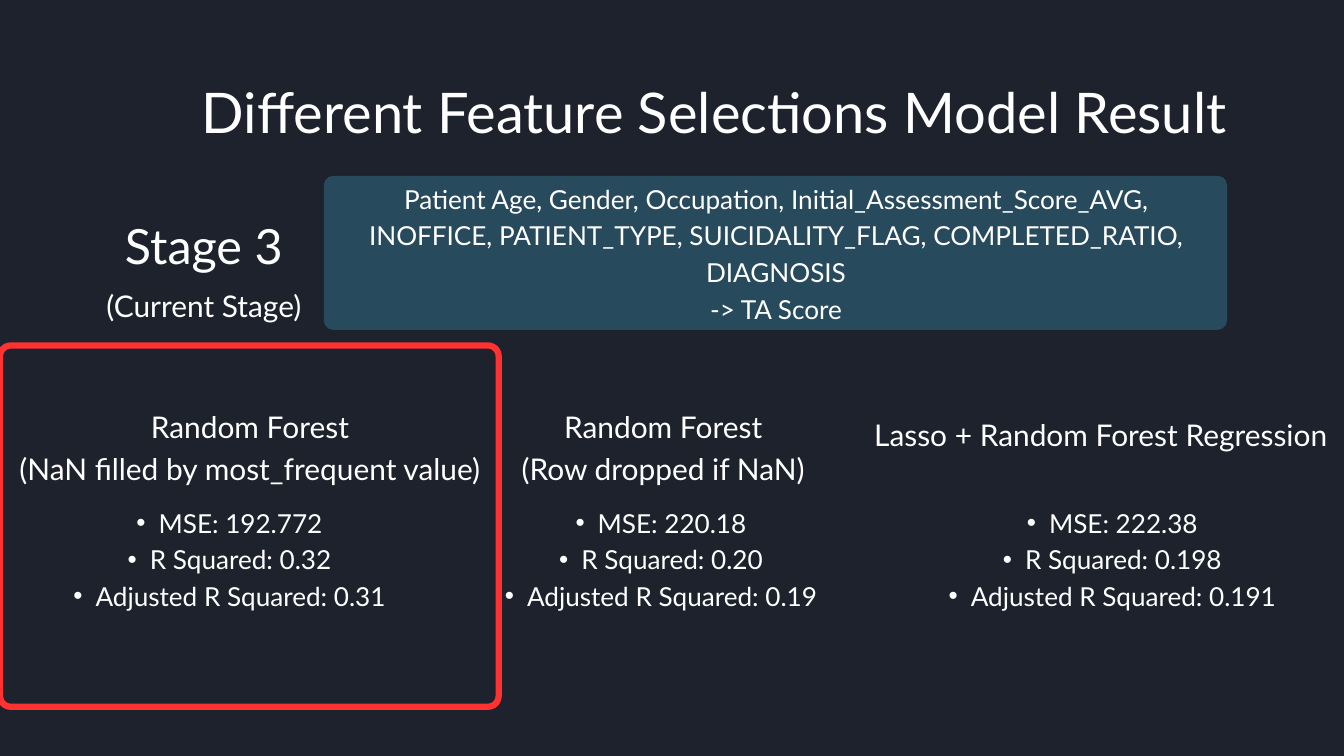
from pptx import Presentation
from pptx.dml.color import RGBColor
from pptx.enum.shapes import MSO_SHAPE as Kind
from pptx.enum.text import MSO_ANCHOR as Anchor, MSO_AUTO_SIZE as Fit, PP_ALIGN as Align
from pptx.util import Cm, Pt
from lxml import etree
from pptx.oxml.ns import qn


def rgb(code):
    return RGBColor.from_string(code)


def write(box, lines, size, bullet=False):
    frame = box.text_frame
    frame.text = "\n".join(lines)
    frame.word_wrap = True
    frame.auto_size = Fit.NONE
    frame.vertical_anchor = Anchor.TOP
    frame.margin_left = frame.margin_right = frame.margin_top = frame.margin_bottom = 0
    for para in frame.paragraphs:
        if bullet:
            para.level = 1
            props = para._p.get_or_add_pPr()
            props.set("marL", str(Cm(1.68)))
            props.set("indent", str(Cm(-0.84)))
            etree.SubElement(props, qn("a:buFont"), typeface="Arial")
            etree.SubElement(props, qn("a:buChar"), char="•")
        para.alignment = Align.CENTER
        para.line_spacing = Pt(round(size * 1.4, 1))
        para.space_before = Pt(0)
        for run in para.runs:
            run.font.size = Pt(size)
            run.font.name = "Lato"
            run.font.color.rgb = rgb("FFFFFF")


deck = Presentation()
deck.slide_width, deck.slide_height = Cm(50.8), Cm(28.58)
slide = deck.slides.add_slide(deck.slide_layouts[5])
slide.background.fill.solid()
slide.background.fill.fore_color.rgb = rgb("1D222D")
shapes = slide.shapes

# Title
title = shapes.title
title.left, title.top, title.width, title.height = Cm(4.72), Cm(2.51), Cm(44.55), Cm(2.9)
write(title, ["Different Feature Selections Model Result"], 60)

# Feature panel
panel = shapes.add_shape(Kind.ROUNDED_RECTANGLE, Cm(12.24), Cm(6.65), Cm(34.14), Cm(5.82))
panel.adjustments[0] = 0.06
panel.shadow.inherit = False
panel.fill.solid()
panel.fill.fore_color.rgb = rgb("284A5D")
panel.line.fill.background()

# Frame around the best model
frame = shapes.add_shape(Kind.ROUNDED_RECTANGLE, 0, Cm(13.06), Cm(18.85), Cm(13.66))
frame.adjustments[0] = 0.03
frame.shadow.inherit = False
frame.fill.background()
frame.line.color.rgb = rgb("FF3131")
frame.line.width = Pt(6.75)

# Stage label and features: left, top, width, height, size, lines
notes = [
    (4.72, 7.8, 5.97, 2.49, 52, ["Stage 3"]),
    (3.58, 10.64, 8.26, 1.55, 32, ["(Current Stage)"]),
    (13.72, 6.73, 31.22, 5.49, 28, [
        "Patient Age, Gender, Occupation, Initial_Assessment_Score_AVG, "
        "INOFFICE, PATIENT_TYPE, SUICIDALITY_FLAG, COMPLETED_RATIO, DIAGNOSIS",
        "-> TA Score"]),
]
for left, top, width, height, size, lines in notes:
    box = shapes.add_textbox(Cm(left), Cm(top), Cm(width), Cm(height))
    write(box, lines, size)

# Models: heading place and lines, list left and width, scores
models = [
    (0.33, 15.24, 18.24, ["Random Forest", "(NaN filled by most_frequent value)"],
     1.85, 12.8, ("192.772", "0.32", "0.31")),
    (15.95, 15.24, 18.24, ["Random Forest", "(Row dropped if NaN)"],
     18.16, 12.8, ("220.18", "0.20", "0.19")),
    (32.84, 15.52, 17.55, ["Lasso + Random Forest Regression"],
     34.95, 13.34, ("222.38", "0.198", "0.191")),
]
names = ("MSE", "R Squared", "Adjusted R Squared")
for left, top, width, lines, start, span, scores in models:
    head = shapes.add_textbox(Cm(left), Cm(top), Cm(width), Cm(1.55 * len(lines)))
    write(head, lines, 32)
    stats = shapes.add_textbox(Cm(start), Cm(18.97), Cm(span), Cm(4.11))
    write(stats, [f"{name}: {score}" for name, score in zip(names, scores)], 28, bullet=True)

deck.save("out.pptx")
